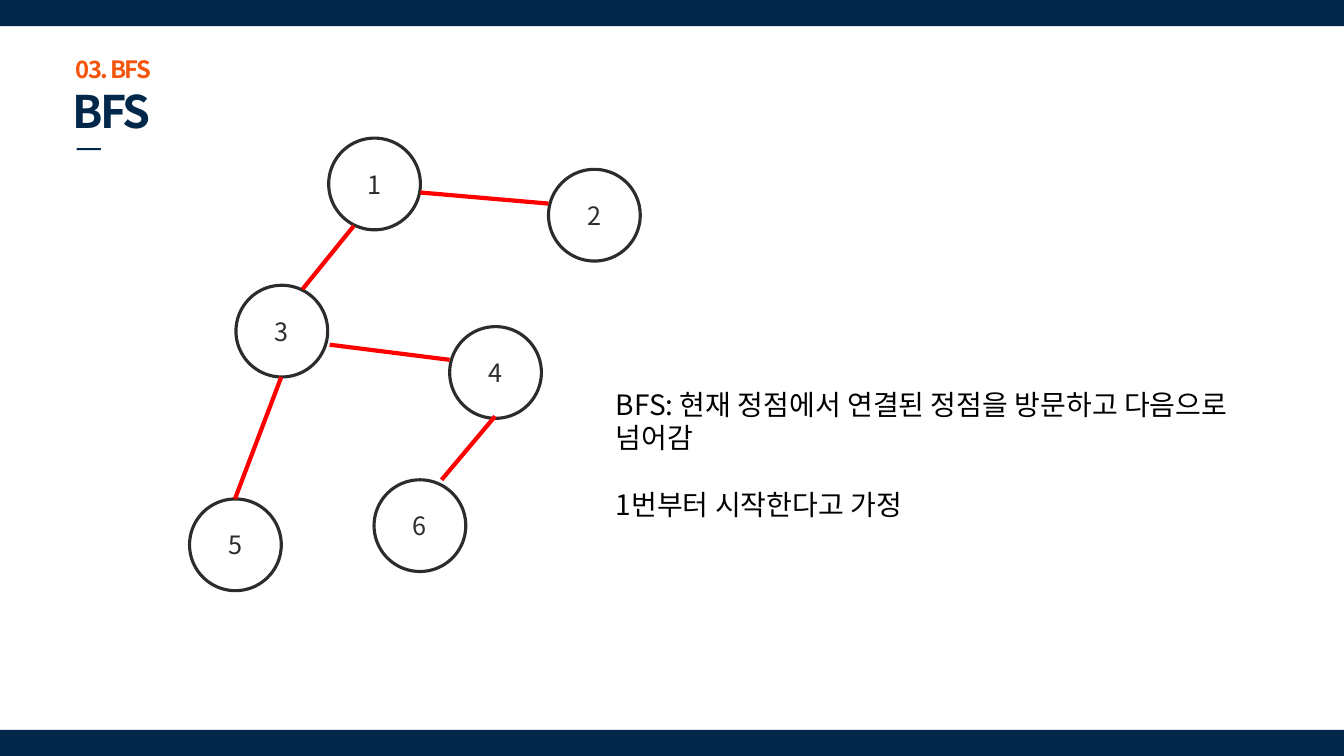
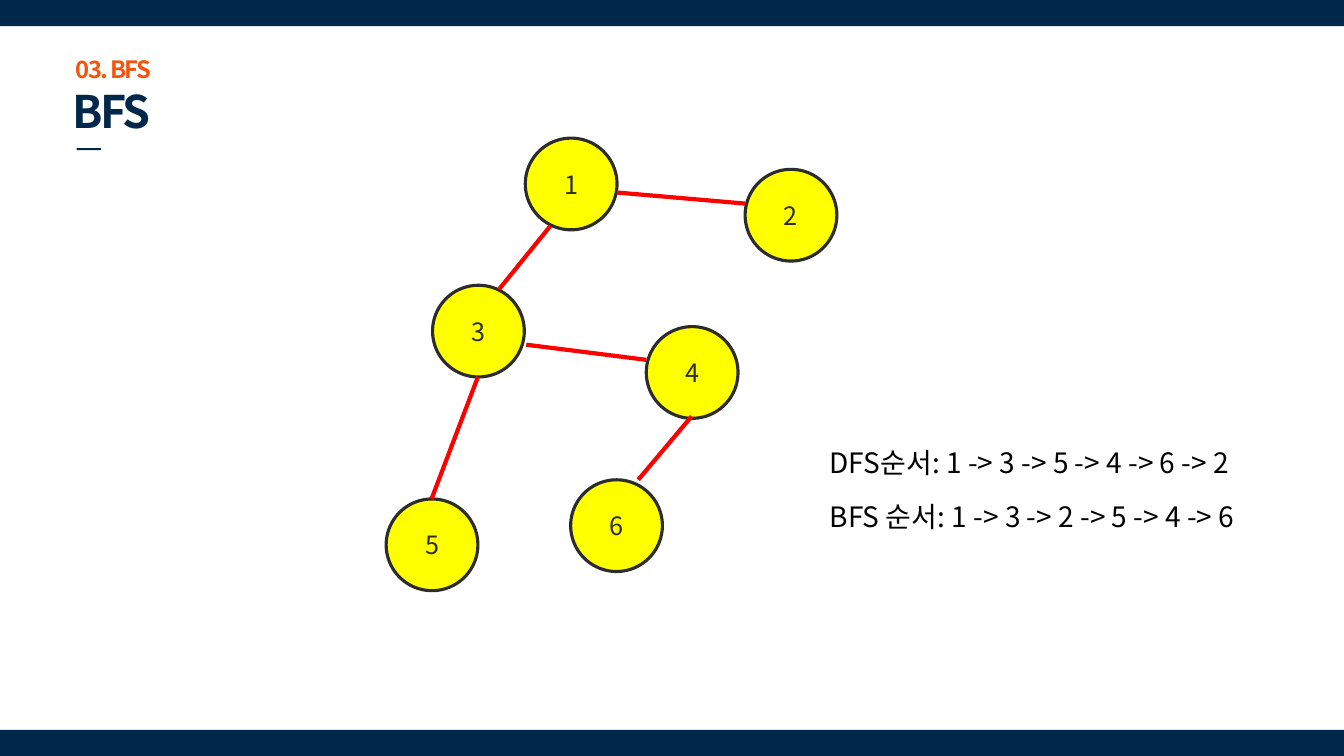
from lxml import etree
from pptx import Presentation, util as u
from pptx.dml import color
from pptx.enum import shapes, text
from pptx.oxml import ns

FONT = "Noto Sans CJK KR"
COLORS = {
    "navy": "01284A",
    "orange": "F4540C",
    "ink": "2C2C2C",
    "edge": "FF0000",
    "visited": "FFFF00",
    "black": "000000",
}
WIDTH, HEIGHT, BAND = 13.33, 7.5, 0.26
NODE_SIZE = 0.91
NODES = {
    "1": (3.26, 1.37),
    "3": (2.34, 2.83),
    "2": (5.44, 1.68),
    "4": (4.46, 3.24),
    "5": (1.88, 4.95),
    "6": (3.71, 4.76),
}
EDGES = [
    ((3.51, 2.24), (3, 2.87)),
    ((2.79, 3.74), (2.33, 4.95)),
    ((3.27, 3.42), (4.46, 3.57)),
    ((4.17, 1.91), (5.44, 2.02)),
    ((4.38, 4.76), (4.91, 4.13)),
]
SLIDES = [
    {
        "section": "03. BFS", "title": "BFS", "shift": 0, "fill": None,
        "notes": [((6.01, 3.79, 6.95, 1.45), [
            "BFS: 현재 정점에서 연결된 정점을 방문하고 다음으로 넘어감",
            "1번부터 시작한다고 가정",
        ])],
    },
    {
        "section": "03. BFS", "title": "BFS", "shift": 1.95, "fill": "visited",
        "notes": [
            ((8.13, 4.37, 5.1, 0.44), ["DFS순서: 1 -> 3 -> 5 -> 4 -> 6 -> 2"]),
            ((8.13, 4.91, 5.1, 0.44), ["BFS 순서: 1 -> 3 -> 2 -> 5 -> 4 -> 6"]),
        ],
    },
]


def rgb(name):
    return color.RGBColor.from_string(COLORS[name])


def inches(values):
    return [u.Inches(value) for value in values]


def write(shape, lines, size, ink, bold=False, tracking=0, align="LEFT",
          anchor="TOP", margin=None, line_spacing=None, before=0, gap=0):
    frame = shape.text_frame
    frame.word_wrap = True
    frame.auto_size = text.MSO_AUTO_SIZE.NONE
    frame.vertical_anchor = getattr(text.MSO_ANCHOR, anchor)
    if margin is not None:
        frame.margin_left = frame.margin_right = u.Inches(margin)
        frame.margin_top = frame.margin_bottom = u.Inches(margin)
    for index, line in enumerate(lines):
        paragraph = frame.add_paragraph() if index else frame.paragraphs[0]
        paragraph.alignment = getattr(text.PP_ALIGN, align)
        paragraph.space_before = u.Pt(gap if index else before)
        if line_spacing:
            paragraph.line_spacing = line_spacing
        run = paragraph.add_run()
        run.text = line
        run.font.name, run.font.size, run.font.bold = FONT, u.Pt(size), bold
        run.font.color.rgb = rgb(ink)
        properties = run.font.language_id and None
        properties = run._r.get_or_add_rPr()
        properties.set("spc", str(round(tracking * 100)))
        latin = properties.find(ns.qn("a:latin"))
        east_asian = etree.Element(ns.qn("a:ea"), typeface=FONT)
        latin.addnext(east_asian)


def add_frame(slide, layout):
    bars = [
        ("RECTANGLE", (0, 0, WIDTH, BAND)),
        ("RECTANGLE", (0, HEIGHT - BAND, WIDTH, BAND)),
        ("ROUNDED_RECTANGLE", (0.76, 1.47, 0.24, 0.02)),
    ]
    for kind, box in bars:
        bar = slide.shapes.add_shape(getattr(shapes.MSO_SHAPE, kind), *inches(box))
        bar.shadow.inherit = False
        bar.fill.solid()
        bar.fill.fore_color.rgb = rgb("navy")
        bar.line.fill.background()
        layout.shapes.element.append(bar.element)


def place(shape, box):
    shape.left, shape.top, shape.width, shape.height = inches(box)


def add_heading(slide, section, title):
    body = slide.placeholders[1]
    place(body, (0.75, 0.57, 11.87, 0.66))
    write(body, [section], 17, "orange", bold=True, tracking=-1.2,
          margin=0, line_spacing=0.9, before=10)
    place(slide.shapes.title, (0.72, 0.89, 11.89, 0.48))
    write(slide.shapes.title, [title], 32, "navy", bold=True, tracking=-2,
          anchor="MIDDLE", margin=0, line_spacing=0.9, before=10)


def add_graph(slide, shift, fill):
    for label, (left, top) in NODES.items():
        node = slide.shapes.add_shape(
            shapes.MSO_SHAPE.OVAL, *inches((left + shift, top, NODE_SIZE, NODE_SIZE)))
        node.shadow.inherit = False
        if fill:
            node.fill.solid()
            node.fill.fore_color.rgb = rgb(fill)
        else:
            node.fill.background()
        node.line.color.rgb = rgb("ink")
        node.line.width = u.Pt(2.25)
        write(node, [label], 18, "ink", align="CENTER", anchor="MIDDLE")
    for (x1, y1), (x2, y2) in EDGES:
        edge = slide.shapes.add_connector(
            shapes.MSO_CONNECTOR.STRAIGHT, *inches((x1 + shift, y1, x2 + shift, y2)))
        edge.line.color.rgb = rgb("edge")
        edge.line.width = u.Pt(3)
        etree.SubElement(edge.element.spPr, ns.qn("a:effectLst"))


def main():
    presentation = Presentation()
    presentation.slide_width, presentation.slide_height = inches((WIDTH, HEIGHT))
    layout = presentation.slide_layouts.get_by_name("Section Header")
    for index, content in enumerate(SLIDES):
        slide = presentation.slides.add_slide(layout)
        if index == 0:
            add_frame(slide, layout)
        add_heading(slide, content["section"], content["title"])
        add_graph(slide, content["shift"], content["fill"])
        for box, lines in content["notes"]:
            note = slide.shapes.add_textbox(*inches(box))
            write(note, lines, 20, "black", gap=24)
    presentation.save("out.pptx")


if __name__ == "__main__":
    main()
